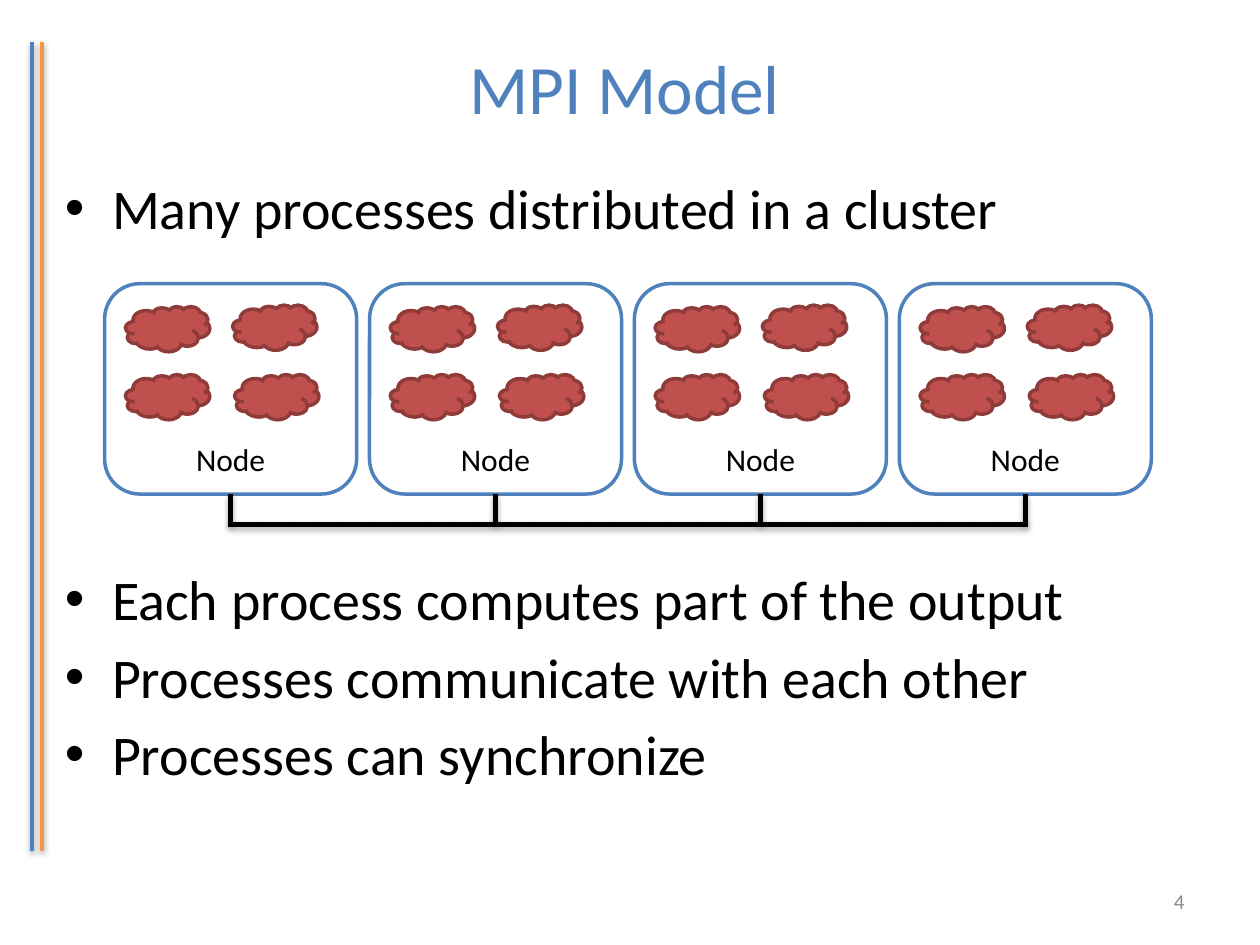
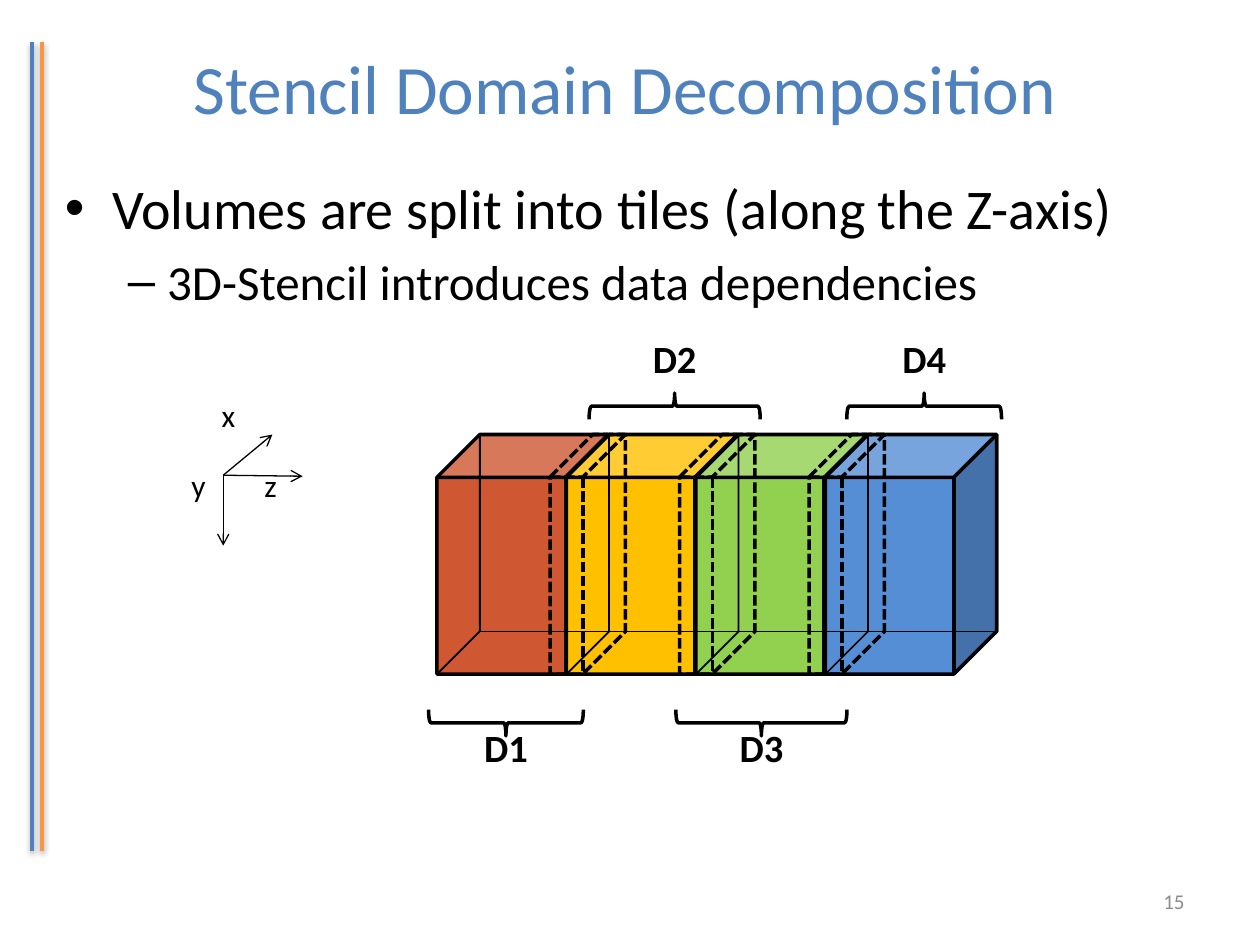
import dataclasses

import lxml.etree
import pptx
import pptx.dml.color
import pptx.enum.dml
import pptx.enum.shapes
import pptx.enum.text
import pptx.oxml.ns
import pptx.util

Cm, Pt = pptx.util.Cm, pptx.util.Pt
Kind = pptx.enum.shapes.MSO_SHAPE
Align = pptx.enum.text.PP_ALIGN
Anchor = pptx.enum.text.MSO_ANCHOR
qn = pptx.oxml.ns.qn


@dataclasses.dataclass(frozen=True)
class Theme:
    font: str = "Calibri"
    blue: str = "4F81BD"
    orange: str = "F79646"
    red: str = "C0504D"
    maroon: str = "8E3B39"
    black: str = "000000"
    white: str = "FFFFFF"
    grey: str = "8C8C8C"
    tiles: tuple = ("CF5731", "FFC000", "92D050", "558ED5")
    title: float = 39.6
    body: tuple = (32, 28)
    mark: float = 22
    label: float = 18
    foot: float = 12


T = Theme()

# Body lines: text, level, space before in points
MPI = dict(title="MPI Model", number="4", body=[
    ("Many processes distributed in a cluster", 0, 5.8),
    ("Each process computes part of the output", 0, 185),
    ("Processes communicate with each other", 0, 5.8),
    ("Processes can synchronize", 0, 5.8)])
STENCIL = dict(title="Stencil Domain Decomposition", number="15", body=[
    ("Volumes are split into tiles (along the Z-axis)", 0, 5.8),
    ("3D-Stencil introduces data dependencies", 1, 5.8)])

BULLETS = [("•", 0.95, -0.95), ("–", 2.06, -0.79)]  # sign, margin, indent
STRIPES = [(0.64, T.blue), (0.85, T.orange)]

NODES = ["Node"] * 4
CLOUDS = [(0.42, 0.46), (2.58, 0.43), (0.42, 1.83), (2.62, 1.83)]

# Axis name, label corner, arrow tip
AXES = [("y", (3.61, 9.27), (4.5, 11)),
        ("z", (5.08, 9.27), (6.1, 9.6)),
        ("x", (4.22, 7.85), (5.49, 8.76))]
ORIGIN = (4.5, 9.58)

# Domain name, brace centre, brace length, whether above the volume
DOMAINS = [("D1", 10.2, 3.12, False), ("D2", 13.6, 3.45, True),
           ("D3", 15.35, 3.45, False), ("D4", 18.63, 3.12, True)]


def rgb(code):
    return pptx.dml.color.RGBColor.from_string(code)


def write(par, text, *, size, color=T.black, bold=False, align=Align.LEFT,
          before=0):
    par.alignment = align
    par.space_before = Pt(before)
    run = par.add_run()
    run.text = text
    font = run.font
    font.name, font.size, font.bold = T.font, Pt(size), bold
    font.color.rgb = rgb(color)


def frame(shape, anchor=Anchor.TOP, wrap=True):
    """Set up the text frame of a shape and return its first paragraph."""
    text = shape.text_frame
    text.vertical_anchor, text.word_wrap = anchor, wrap
    return text.paragraphs[0]


def box(slide, x, y, w, h):
    return slide.shapes.add_textbox(Cm(x), Cm(y), Cm(w), Cm(h))


def shape(shapes, kind, x, y, w, h, *, fill=None, line=T.black, width=2,
          adj=None, dash=False):
    item = shapes.add_shape(kind, Cm(x), Cm(y), Cm(w), Cm(h))
    item.shadow.inherit = False
    if fill:
        item.fill.solid()
        item.fill.fore_color.rgb = rgb(fill)
    else:
        item.fill.background()
    item.line.color.rgb = rgb(line)
    item.line.width = Pt(width)
    if dash:
        item.line.dash_style = pptx.enum.dml.MSO_LINE.SQUARE_DOT
    if adj is not None:
        item.adjustments[0] = adj
    return item


def line(slide, start, end, *, color=T.black, width=0.75, arrow=False,
         shadow=0):
    """Draw a straight line; shadow is its opacity in percent."""
    item = slide.shapes.add_connector(
        pptx.enum.shapes.MSO_CONNECTOR.STRAIGHT,
        *(Cm(v) for v in (*start, *end)))
    item.line.color.rgb = rgb(color)
    item.line.width = Pt(width)
    sub = lxml.etree.SubElement
    if arrow:
        sub(item.line._get_or_add_ln(), qn("a:tailEnd"), type="arrow")
    effects = sub(item._element.spPr, qn("a:effectLst"))
    if shadow:
        outer = sub(effects, qn("a:outerShdw"), blurRad="40000", dist="20000",
                    dir="5400000", rotWithShape="0")
        tint = sub(outer, qn("a:srgbClr"), val=T.black)
        sub(tint, qn("a:alpha"), val=str(shadow * 1000))


def bullet(par, level):
    sign, margin, indent = BULLETS[level]
    props = par._p.get_or_add_pPr()
    props.set("marL", str(Cm(margin)))
    props.set("indent", str(Cm(indent)))
    lxml.etree.SubElement(props, qn("a:buFont"), typeface="Arial")
    lxml.etree.SubElement(props, qn("a:buChar"), char=sign)


def start(deck, page):
    """Add a slide with stripes, title, body and number."""
    slide = deck.slides.add_slide(deck.slide_layouts[5])
    for x, color in STRIPES:
        line(slide, (x, 0.84), (x, 17.15), color=color, width=2, shadow=38)
    title = slide.shapes.title
    title.left, title.top = Cm(1.06), Cm(0.76)
    title.width, title.height = Cm(23.07), Cm(1.98)
    write(frame(title, Anchor.MIDDLE), page["title"], size=T.title,
          color=T.blue, align=Align.CENTER)

    body = box(slide, 1.06, 3.38, 23.07, 13.64)
    par = frame(body)
    for i, (text, level, before) in enumerate(page["body"]):
        if i:
            par = body.text_frame.add_paragraph()
        par.level = level
        write(par, text, size=T.body[level], before=before)
        bullet(par, level)

    number = box(slide, 22.66, 17.65, 1.47, 1.02)
    write(frame(number, Anchor.MIDDLE), page["number"], size=T.foot,
          color=T.grey, align=Align.RIGHT)
    return slide


def cluster(slide):
    left, top, wide, high, pitch = 2.11, 5.72, 5.08, 4.24, 5.34
    base, bus = top + high, 10.57
    mids = [left + i * pitch + wide / 2 for i in range(len(NODES))]
    for mid, name in zip(mids, NODES):
        group = slide.shapes.add_group_shape().shapes
        x = mid - wide / 2
        node = shape(group, Kind.ROUNDED_RECTANGLE, x, top, wide, high,
                     fill=T.white, line=T.blue)
        write(frame(node, Anchor.BOTTOM), name, size=T.label,
              align=Align.CENTER)
        for dx, dy in CLOUDS:
            shape(group, Kind.CLOUD, x + dx, top + dy, 1.7, 0.91,
                  fill=T.red, line=T.maroon)
    for mid in mids:
        line(slide, (mid, base), (mid, bus), width=3, shadow=35)
    line(slide, (mids[0] - 0.05, bus), (mids[-1] + 0.05, bus), width=3,
         shadow=35)


def volume(slide):
    """Draw the tiles, their dashed halos and their hidden edges."""
    left, top, wide, high, pitch, depth = 8.81, 8.76, 3.45, 4.83, 2.61, 0.86
    halo = 1.52
    count = len(T.tiles)

    def cubes(n, x, w, h, adj, fills=None, **style):
        for i in range(n):
            shape(slide.shapes, Kind.CUBE, x + i * pitch, top, w, h, adj=adj,
                  fill=fills[i] if fills else None, **style)

    cubes(count, left, wide, high, 0.25, T.tiles)
    cubes(count - 1, left + 2.28, halo, high, depth / halo, dash=True)
    cubes(count + 1, left, depth, high, 1, width=1)
    cubes(count, left + depth, pitch, high - depth, 0, width=1)


def axes(slide):
    for name, (x, y), tip in AXES:
        line(slide, ORIGIN, tip, arrow=True)
        write(frame(box(slide, x, y, 0.8, 1.02), wrap=False), name,
              size=T.label)


def domains(slide):
    thick, wide = 0.53, 1.42
    for name, mid, span, above in DOMAINS:
        y, text = (8.19, 6.63) if above else (14.57, 14.48)
        brace = shape(slide.shapes, Kind.LEFT_BRACE, mid - thick / 2,
                      y - span / 2, thick, span)
        brace.rotation = 90 if above else 270
        label = box(slide, mid - wide / 2, text, wide, 1.22)
        write(frame(label, wrap=False), name, size=T.mark, bold=True,
              align=Align.CENTER)


def main():
    deck = pptx.Presentation()
    deck.slide_width, deck.slide_height = Cm(25.4), Cm(19.05)
    cluster(start(deck, MPI))
    slide = start(deck, STENCIL)
    volume(slide)
    axes(slide)
    domains(slide)
    deck.save("out.pptx")


if __name__ == "__main__":
    main()
